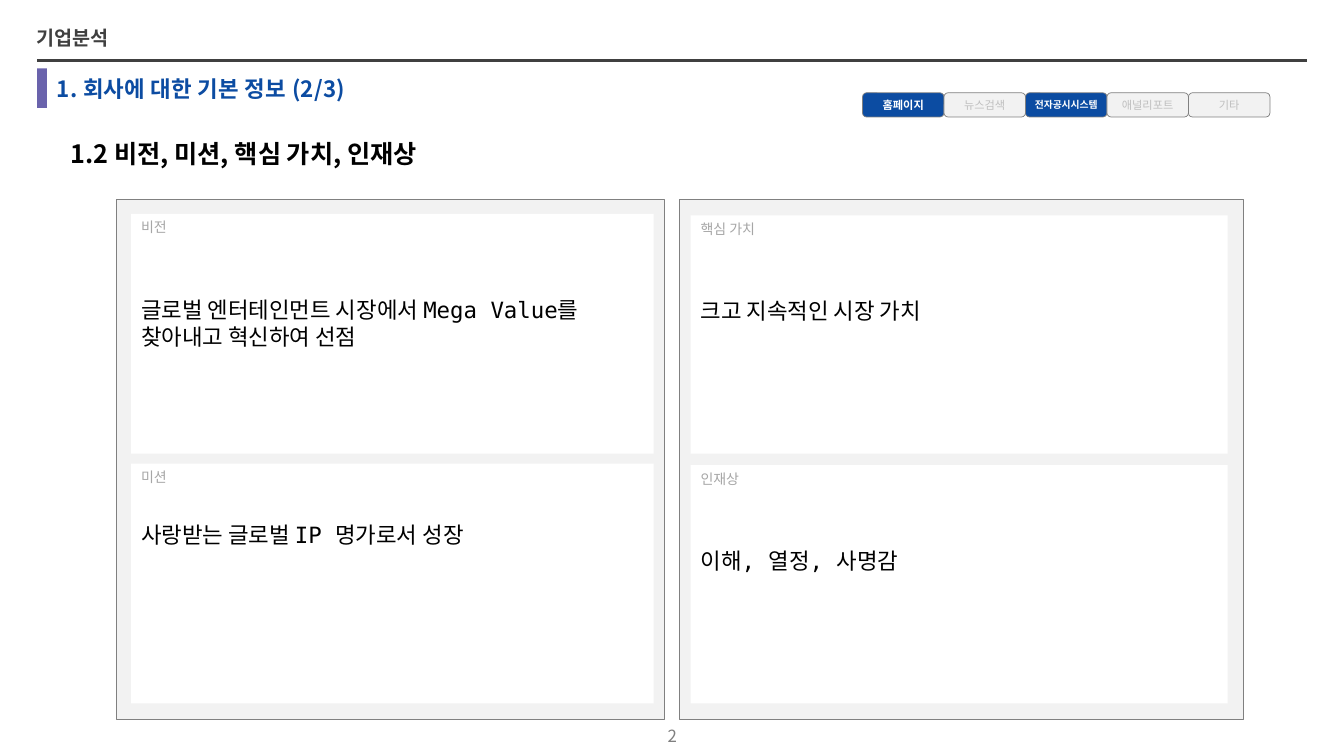
from lxml import etree
from pptx import Presentation
from pptx.dml.color import RGBColor
from pptx.enum.shapes import MSO_CONNECTOR, MSO_SHAPE
from pptx.enum.text import MSO_ANCHOR, MSO_AUTO_SIZE, PP_ALIGN
from pptx.oxml.ns import qn
from pptx.util import Pt

LEFT, CENTER = PP_ALIGN.LEFT, PP_ALIGN.CENTER
TOP, MIDDLE = MSO_ANCHOR.TOP, MSO_ANCHOR.MIDDLE
RECTANGLE, ROUNDED = MSO_SHAPE.RECTANGLE, MSO_SHAPE.ROUNDED_RECTANGLE

SANS, MONO = "Noto Sans CJK KR", "DejaVu Sans Mono"
COLORS = {
    "white": "FFFFFF", "black": "000000", "blue": "0C4CA2", "purple": "6A63AC",
    "dark": "404040", "gray": "808080", "label": "A6A6A6", "faint": "BFBFBF",
    "panel": "F2F2F2",
}

SECTION = "기업분석"
TITLE = "1. 회사에 대한 기본 정보 (2/3)"
HEADING = "1.2 비전, 미션, 핵심 가치, 인재상"
PAGE_NUMBER = "2"
# text, font size, active
TABS = [("홈페이지", 8, True), ("뉴스검색", 8, False), ("전자공시시스템", 7, True),
        ("애널리포트", 8, False), ("기타", 8, False)]
TAB_LEFT, TAB_TOP, TAB_STEP, TAB_HEIGHT = 616.1, 66.3, 58.2, 17.3

PANEL_TOP, PANEL_HEIGHT = 142.5, 371.5
CARD_BOTTOM, CARD_STEP = 324, 178.5
CARD_LINE_HEIGHT = 19.3
# panel left and width, card left, width and height, cards: label, text, gap
PANELS = [
    (83, 391.5, 93.7, 373.2, 171.3, [
        ("비전", "글로벌 엔터테인먼트 시장에서 Mega Value를 찾아내고 혁신하여 선점", 42.9),
        ("미션", "사랑받는 글로벌 IP 명가로서 성장", 25.2)]),
    (485.5, 402.5, 493.3, 383.6, 170.2, [
        ("핵심 가치", "크고 지속적인 시장 가치", 42.9),
        ("인재상", "이해, 열정, 사명감", 42.9)]),
]


def rgb(name):
    return RGBColor.from_string(COLORS[name])


def write(para, text, size, color, font=SANS, bold=False, align=LEFT):
    """Fill a paragraph; Korean glyphs always use the sans font."""
    para.text = text
    para.alignment = align
    span = para.runs[0]
    span.font.name, span.font.size, span.font.bold = font, Pt(size), bold
    span.font.color.rgb = rgb(color)
    east_asian = etree.SubElement(span.font._element, qn("a:ea"))
    east_asian.set("typeface", SANS)
    return span


def set_frame(shape, anchor, side=7.2):
    frame = shape.text_frame
    frame.word_wrap = True
    frame.auto_size = MSO_AUTO_SIZE.NONE
    frame.vertical_anchor = anchor
    frame.margin_left = frame.margin_right = Pt(side)
    frame.margin_top = frame.margin_bottom = Pt(3.6)
    return frame


def place(shape, left, top, width, height):
    shape.left, shape.top = Pt(left), Pt(top)
    shape.width, shape.height = Pt(width), Pt(height)


def add_box(kind, left, top, width, height, fill, outlined=False):
    box = slide.shapes.add_shape(kind, Pt(left), Pt(top), Pt(width), Pt(height))
    box.shadow.inherit = False
    box.fill.solid()
    box.fill.fore_color.rgb = rgb(fill)
    if outlined:
        box.line.color.rgb = rgb("gray")
        box.line.width = Pt(0.5)
    else:
        box.line.fill.background()
    return box


def add_label(left, top, width, height, text, size, color, **style):
    label = slide.shapes.add_textbox(Pt(left), Pt(top), Pt(width), Pt(height))
    write(set_frame(label, MIDDLE).paragraphs[0], text, size, color, **style)


deck = Presentation()
deck.slide_width, deck.slide_height = Pt(960), Pt(540)
slide = deck.slides.add_slide(deck.slide_layouts[1])

# Header
rule = slide.shapes.add_connector(MSO_CONNECTOR.STRAIGHT, Pt(26.5), Pt(43.2), Pt(933.8), Pt(43.2))
rule.line.color.rgb = rgb("dark")
rule.line.width = Pt(1.5)
etree.SubElement(rule._element.spPr, qn("a:effectLst"))
add_box(RECTANGLE, 26.5, 48.8, 7, 28.2, "purple")

section = slide.placeholders[1]
place(section, 26.2, 15.8, 754, 22.3)
section_frame = set_frame(section, MIDDLE)
section_frame.margin_left = 0
section_para = section_frame.paragraphs[0]
write(section_para, SECTION, 14, "dark", bold=True)
section_properties = section_para._p.get_or_add_pPr()
section_properties.set("marL", str(Pt(13.5)))
section_properties.set("indent", str(Pt(-13.5)))
etree.SubElement(section_properties, qn("a:buNone"))

title = slide.shapes.title
place(title, 33.4, 49, 900, 28)
title_span = write(set_frame(title, MIDDLE).paragraphs[0], TITLE, 16, "blue", bold=True)
title_span.font._element.set("spc", "20")

# Panels and cards
for panel_left, panel_width, card_left, card_width, card_height, cards in PANELS:
    add_box(RECTANGLE, panel_left, PANEL_TOP, panel_width, PANEL_HEIGHT, "panel", outlined=True)
    for row, (label, text, gap) in enumerate(cards):
        card_top = CARD_BOTTOM - card_height + row * CARD_STEP
        card = add_box(RECTANGLE, card_left, card_top, card_width, card_height, "white")
        frame = set_frame(card, TOP)
        write(frame.paragraphs[0], label, 10, "label")
        para = frame.add_paragraph()
        write(para, text, 16, "black", MONO)
        para.space_before = Pt(gap)
        para.line_spacing = Pt(CARD_LINE_HEIGHT)

# Source tabs
for column, (text, size, active) in enumerate(TABS):
    tab = add_box(ROUNDED, TAB_LEFT + column * TAB_STEP, TAB_TOP, TAB_STEP, TAB_HEIGHT,
                  "blue" if active else "panel", outlined=True)
    write(set_frame(tab, MIDDLE, side=2.9).paragraphs[0], text, size,
          "white" if active else "faint", bold=active, align=CENTER)

add_label(43.4, 90, 335, 39.6, HEADING, 18, "black", bold=True)
add_label(365, 515, 230.4, 21.6, PAGE_NUMBER, 12, "gray", align=CENTER)

deck.save("out.pptx")
